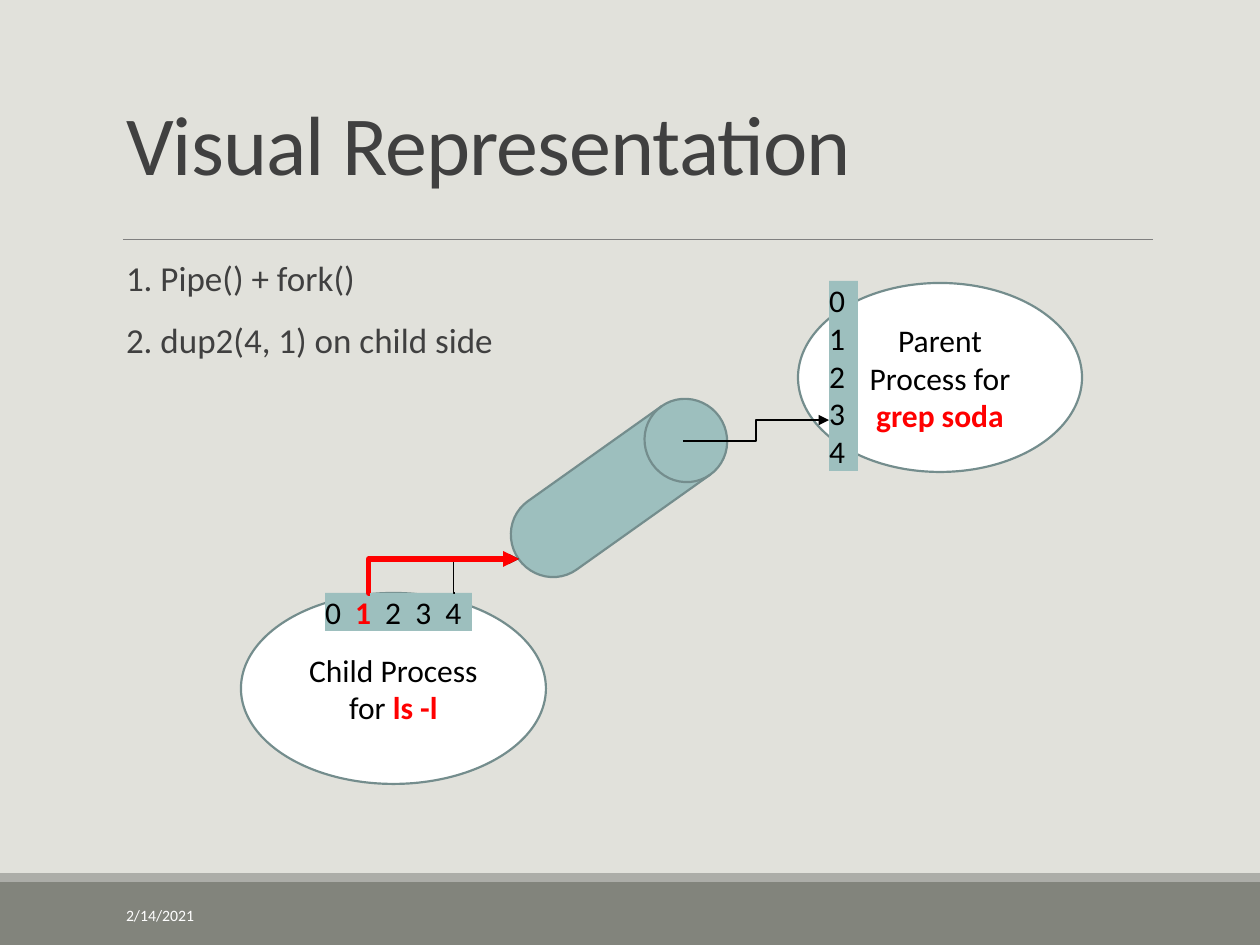
from dataclasses import dataclass
from typing import NamedTuple

from lxml import etree
from pptx import Presentation
from pptx import util as u
from pptx.dml.color import RGBColor
from pptx.enum import shapes, text
from pptx.oxml.ns import qn

PX = u.Inches(1) / 126
FONT = "Calibri"
PAPER = RGBColor(0xE1, 0xE1, 0xDB)
FOOTER = RGBColor(0x82, 0x84, 0x7C)
FOOTER_EDGE = RGBColor(0xAC, 0xAD, 0xA8)
RULE = RGBColor(0x80, 0x80, 0x80)
INK = RGBColor(0x40, 0x40, 0x40)
TEAL = RGBColor(0x9D, 0xBF, 0xBE)
OUTLINE = RGBColor(0x74, 0x8D, 0x8D)
WHITE = RGBColor(0xFF, 0xFF, 0xFF)
BLACK = RGBColor(0, 0, 0)
RED = RGBColor(0xFF, 0, 0)

KIND = shapes.MSO_SHAPE
LINK = shapes.MSO_CONNECTOR
ANCHOR = text.MSO_ANCHOR
ALIGN = text.PP_ALIGN


class Area(NamedTuple):
    left: int
    top: int
    width: int
    height: int


class Span(NamedTuple):
    words: str
    accent: bool = False


@dataclass(frozen=True)
class Process:
    area: Area
    label: str
    command: str


@dataclass(frozen=True)
class Arrow:
    start: tuple[int, int]
    end: tuple[int, int]
    color: RGBColor
    weight: float
    bend: int


PROCESSES = (
    Process(Area(798, 283, 284, 189), "Parent Process for ", "grep soda"),
    Process(Area(241, 593, 305, 191), "Child Process for ", "ls -l"),
)
PIPE = Area(577, 365, 84, 246)
CHILD_TABLE = Area(325, 593, 147, 38)
PARENT_TABLE = Area(829, 281, 29, 190)
ARROWS = (
    Arrow((683, 441), (829, 420), BLACK, 1, 50000),
    Arrow((455, 593), (519, 559), BLACK, 1, -2300),
    Arrow((369, 593), (519, 559), RED, 3, -300),
)


def px(length: int) -> u.Emu:
    return u.Emu(round(length * PX))


def write(box, paragraphs, *, size=18, color=BLACK, align=ALIGN.LEFT,
          anchor=ANCHOR.TOP, inset=(13, 6), line=1.0, before=0, after=0,
          tracking=0):
    frame = box.text_frame
    frame.word_wrap = True
    frame.vertical_anchor = anchor
    frame.margin_left = frame.margin_right = px(inset[0])
    frame.margin_top = frame.margin_bottom = px(inset[1])
    for index, spans in enumerate(paragraphs):
        para = frame.paragraphs[0] if index == 0 else frame.add_paragraph()
        para.alignment = align
        para.line_spacing = line
        para.space_before, para.space_after = u.Pt(before), u.Pt(after)
        for words, accent in spans:
            span = para.add_run()
            span.text = words
            span.font.name, span.font.size = FONT, u.Pt(size)
            span.font.bold = accent
            span.font.color.rgb = RED if accent else color
            if tracking:
                span.font._element.set("spc", str(round(tracking * 100)))


def add_box(page, area: Area):
    return page.shapes.add_textbox(*map(px, area))


def add_figure(page, kind, area: Area, fill: RGBColor, outlined=False):
    figure = page.shapes.add_shape(kind, *map(px, area))
    figure.shadow.inherit = False
    figure.fill.solid()
    figure.fill.fore_color.rgb = fill
    if outlined:
        figure.line.color.rgb = OUTLINE
        figure.line.width = u.Pt(1.25)
    else:
        figure.line.fill.background()
    return figure


def add_line(page, kind, start, end, color: RGBColor, weight: float):
    line = page.shapes.add_connector(kind, *map(px, (*start, *end)))
    line.line.color.rgb = color
    line.line.width = u.Pt(weight)
    etree.SubElement(line._element.spPr, qn("a:effectLst"))
    return line


def add_arrow(page, arrow: Arrow) -> None:
    line = add_line(page, LINK.ELBOW, arrow.start, arrow.end,
                    arrow.color, arrow.weight)
    etree.SubElement(line.line._get_or_add_ln(), qn("a:tailEnd"), type="triangle")
    guides = line._element.spPr.find(qn("a:prstGeom")).get_or_add_avLst()
    etree.SubElement(guides, qn("a:gd"), name="adj1", fmla=f"val {arrow.bend}")


def add_process(page, process: Process) -> None:
    oval = add_figure(page, KIND.OVAL, process.area, WHITE, outlined=True)
    write(oval, [[Span(process.label), Span(process.command, True)]],
          align=ALIGN.CENTER, anchor=ANCHOR.MIDDLE)


def main() -> None:
    deck = Presentation()
    deck.slide_width, deck.slide_height = px(1260), px(945)
    page = deck.slides.add_slide(deck.slide_layouts[6])
    page.background.fill.solid()
    page.background.fill.fore_color.rgb = PAPER

    add_figure(page, KIND.RECTANGLE, Area(0, 882, 1260, 63), FOOTER)
    add_figure(page, KIND.RECTANGLE, Area(0, 873, 1260, 9), FOOTER_EDGE)
    add_line(page, LINK.STRAIGHT, (123, 239), (1153, 239), RULE, 0.5)

    write(add_box(page, Area(113, 39, 1040, 160)), [[Span("Visual Representation")]],
          size=48, color=INK, anchor=ANCHOR.BOTTOM, line=0.85, tracking=-0.5)
    write(add_box(page, Area(113, 255, 1040, 554)),
          [[Span("1. Pipe() + fork()")], [Span("2. dup2(4, 1) on child side")]],
          size=20, color=INK, line=0.9, before=12, after=2)
    write(add_box(page, Area(113, 890, 256, 50)), [[Span("2/14/2021")]],
          size=9, color=WHITE, anchor=ANCHOR.MIDDLE)

    for process in PROCESSES:
        add_process(page, process)
    pipe = add_figure(page, KIND.FLOWCHART_MAGNETIC_DISK, PIPE, TEAL, outlined=True)
    pipe.rotation = 54.6

    child_table = add_figure(page, KIND.RECTANGLE, CHILD_TABLE, TEAL)
    write(child_table, [[Span("0 "), Span("1", True), Span(" 2 3 4")]],
          inset=(0, 0), tracking=2)
    parent_table = add_figure(page, KIND.RECTANGLE, PARENT_TABLE, TEAL)
    write(parent_table, [[Span(str(number))] for number in range(5)], inset=(0, 0))

    for arrow in ARROWS:
        add_arrow(page, arrow)
    deck.save("out.pptx")


if __name__ == "__main__":
    main()
